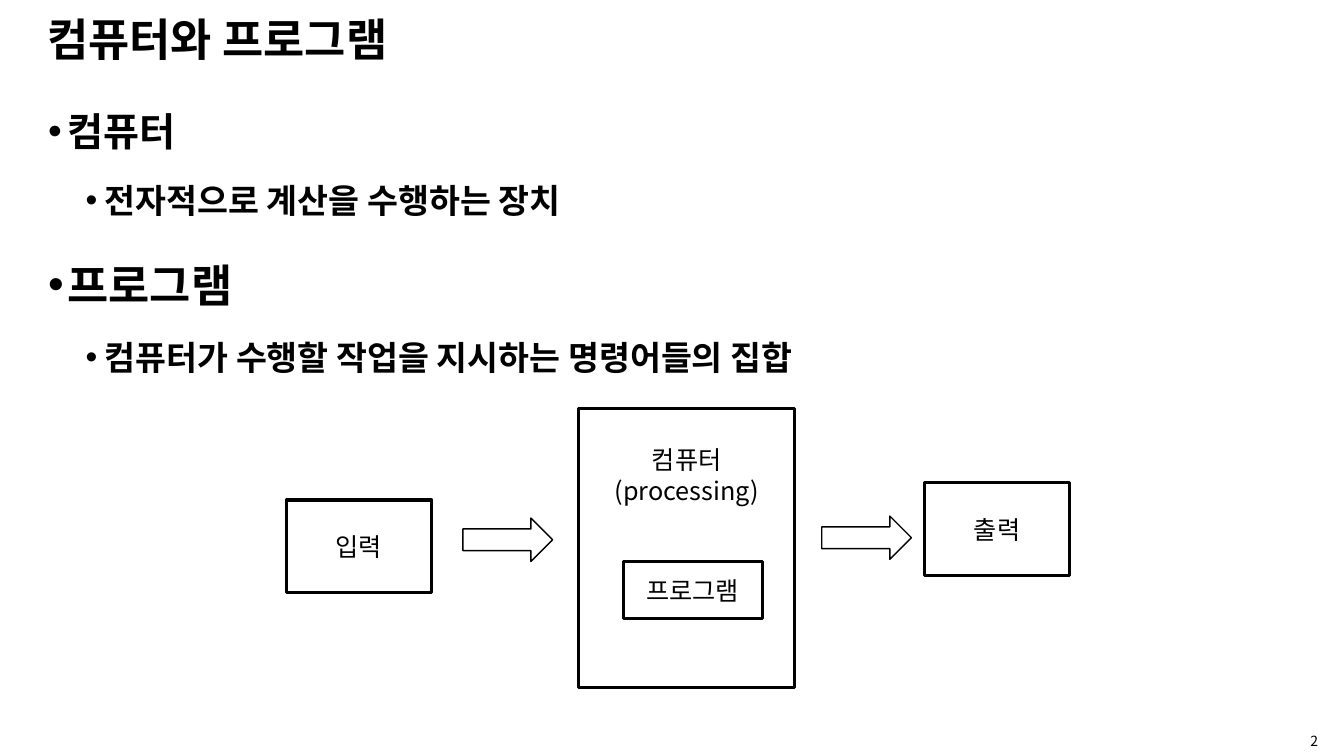
from dataclasses import dataclass

from lxml import etree
from pptx import Presentation
from pptx import util as u
from pptx.dml.color import RGBColor
from pptx.enum import shapes, text
from pptx.oxml.ns import qn


@dataclass(frozen=True)
class Theme:
    ink: RGBColor = RGBColor(0, 0, 0)
    title_font: str = "Noto Sans CJK TC"
    body_font: str = "Noto Sans CJK KR"
    title: int = 32
    detail: int = 24
    label: int = 18
    number: int = 10
    box_line: float = 2.25
    arrow_line: float = 1


THEME = Theme()
TOPICS = [
    ("컴퓨터", 28, "전자적으로 계산을 수행하는 장치"),
    ("프로그램", 32, "컴퓨터가 수행할 작업을 지시하는 명령어들의 집합"),
]


def inches(box):
    return [u.Inches(length) for length in box]


def style(paragraph, size, font=THEME.body_font, bold=False):
    paragraph.font.size = u.Pt(size)
    paragraph.font.bold = bold
    paragraph.font.color.rgb = THEME.ink
    paragraph.font.name = font
    # Hangul takes its typeface from the East Asian font
    properties = paragraph._p.get_or_add_pPr().find(qn("a:defRPr"))
    etree.SubElement(properties, qn("a:ea"), typeface=font)


def add_text_frame(slide, box, anchor):
    frame = slide.shapes.add_textbox(*inches(box)).text_frame
    frame.word_wrap = True
    frame.vertical_anchor = anchor
    return frame


def add_title(slide, box):
    paragraph = add_text_frame(slide, box, text.MSO_ANCHOR.MIDDLE).paragraphs[0]
    paragraph.text = "컴퓨터와 프로그램"
    paragraph.line_spacing = 0.9
    style(paragraph, THEME.title, THEME.title_font, bold=True)


def add_bullet(paragraph, wording, size, level):
    paragraph.text = wording
    paragraph.level = level
    paragraph.line_spacing = 1.5
    paragraph.space_before = u.Pt((7.5, 3.8)[level])
    properties = paragraph._p.get_or_add_pPr()
    properties.set("marL", str(u.Inches((0.19, 0.56)[level])))
    properties.set("indent", str(u.Inches(-0.19)))
    etree.SubElement(properties, qn("a:buFont"), typeface="Arial")
    etree.SubElement(properties, qn("a:buChar"), char="•")
    style(paragraph, size, bold=True)


def add_topics(slide, box):
    frame = add_text_frame(slide, box, text.MSO_ANCHOR.TOP)
    bullets = [
        bullet
        for topic, size, detail in TOPICS
        for bullet in ((topic, size, 0), (detail, THEME.detail, 1))
    ]
    for index, bullet in enumerate(bullets):
        paragraph = frame.add_paragraph() if index else frame.paragraphs[0]
        add_bullet(paragraph, *bullet)


def add_outline(slide, preset, box, line_width):
    shape = slide.shapes.add_shape(preset, *inches(box))
    shape.shadow.inherit = False
    shape.fill.background()
    shape.line.color.rgb = THEME.ink
    shape.line.width = u.Pt(line_width)
    return shape


def add_box(slide, box, *lines):
    shape = add_outline(slide, shapes.MSO_SHAPE.RECTANGLE, box, THEME.box_line)
    frame = shape.text_frame
    frame.word_wrap = True
    frame.vertical_anchor = text.MSO_ANCHOR.MIDDLE
    for index, line in enumerate(lines):
        paragraph = frame.add_paragraph() if index else frame.paragraphs[0]
        paragraph.text = line
        paragraph.alignment = text.PP_ALIGN.CENTER
        style(paragraph, THEME.label)
    return frame


def add_flow(slide, box):
    left, top, width, height = box
    end_width, end_height = 1.44, 0.92

    # Input and output at the two ends
    add_box(slide, (left, top + 0.91, end_width, end_height), "입력")
    output_left = left + width - end_width
    add_box(slide, (output_left, top + 0.74, end_width, end_height), "출력")

    # Computer, with the program inside it
    computer_left = left + 2.9
    frame = add_box(
        slide, (computer_left, top, 2.14, height), "컴퓨터", "(processing)"
    )
    frame.vertical_anchor = text.MSO_ANCHOR.TOP
    frame.margin_top = u.Inches(0.35)
    for paragraph in frame.paragraphs:
        paragraph.line_spacing = u.Pt(22)
    add_box(slide, (computer_left + 0.44, top + 1.52, 1.38, 0.57), "프로그램")

    # Arrows between the steps
    for across, down in ((1.75, 1.09), (5.31, 1.07)):
        add_outline(
            slide,
            shapes.MSO_SHAPE.RIGHT_ARROW,
            (left + across, top + down, 0.89, 0.43),
            THEME.arrow_line,
        )


def add_page_number(slide, box):
    paragraph = add_text_frame(slide, box, text.MSO_ANCHOR.MIDDLE).paragraphs[0]
    paragraph.text = "2"
    paragraph.alignment = text.PP_ALIGN.CENTER
    style(paragraph, THEME.number)


def main():
    presentation = Presentation()
    presentation.slide_width = u.Inches(13.33)
    presentation.slide_height = u.Inches(7.5)
    slide = presentation.slides.add_slide(presentation.slide_layouts[6])
    add_title(slide, (0.37, 0.06, 12.32, 0.72))
    add_topics(slide, (0.38, 0.78, 12.95, 4.86))
    add_page_number(slide, (12.53, 7.23, 1.01, 0.25))
    add_flow(slide, (2.84, 4.05, 7.77, 2.77))
    presentation.save("out.pptx")


if __name__ == "__main__":
    main()
